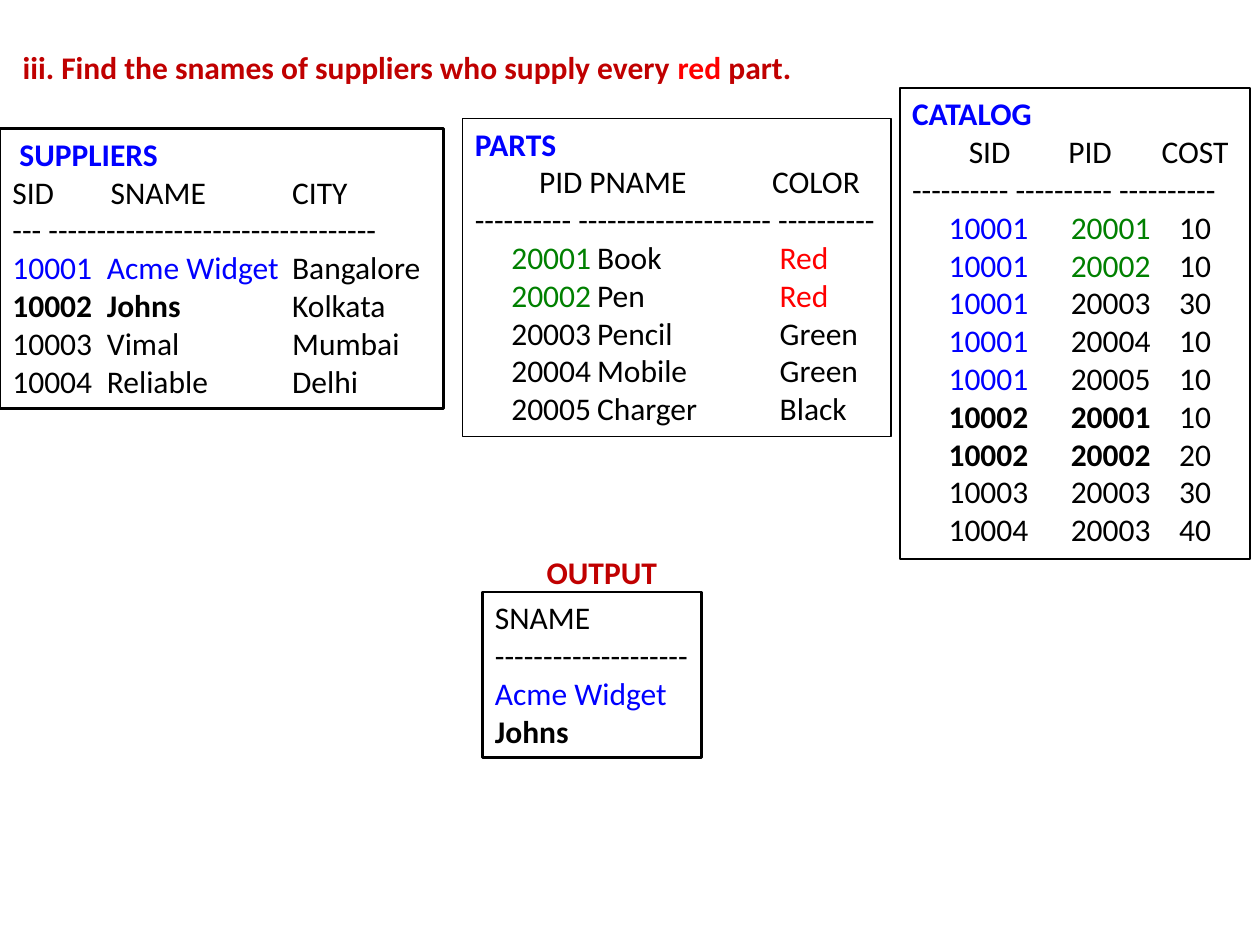
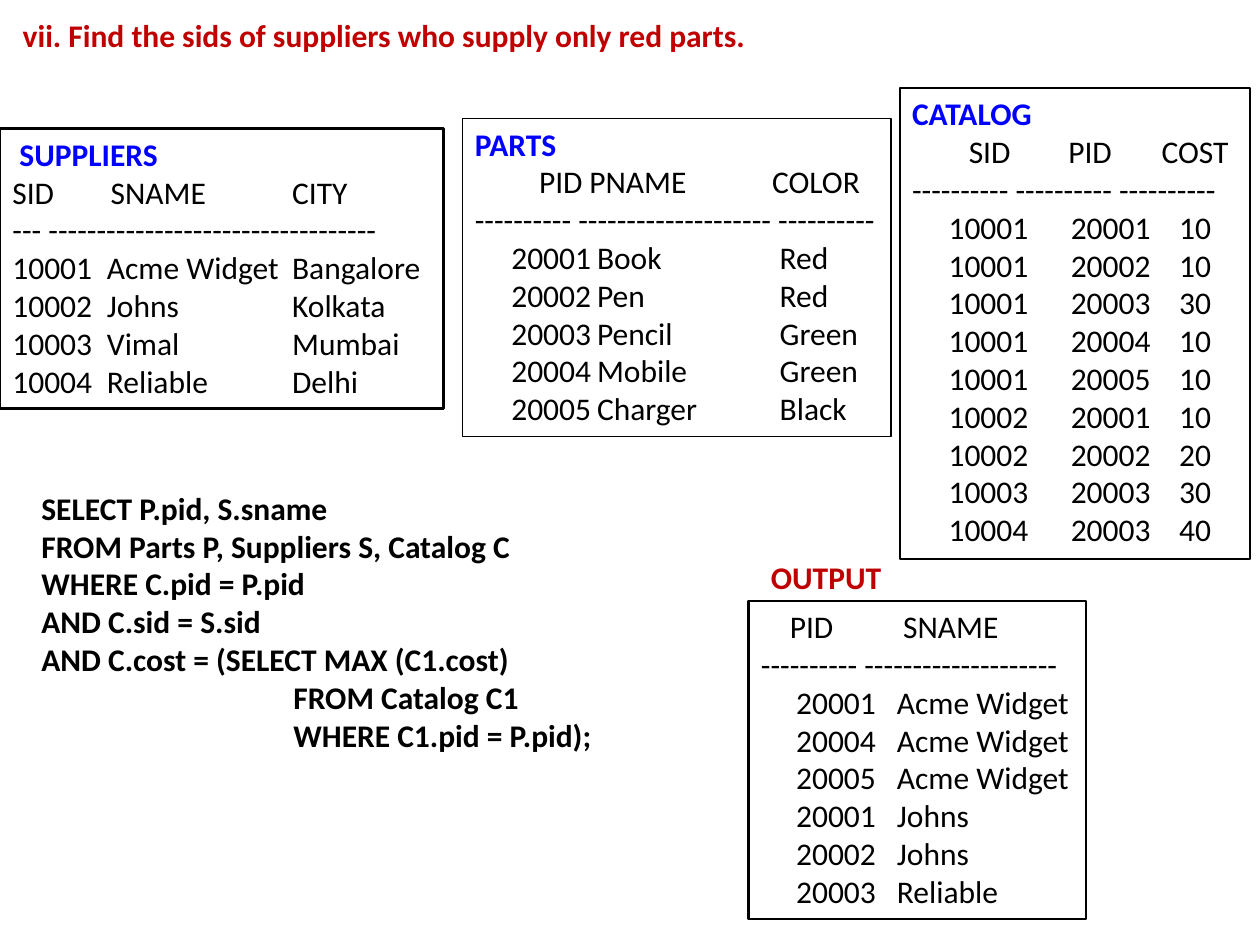
from lxml import etree
from pptx import Presentation
from pptx.dml.color import RGBColor
from pptx.enum.shapes import MSO_SHAPE
from pptx.enum.text import MSO_ANCHOR, MSO_AUTO_SIZE, PP_ALIGN
from pptx.oxml.ns import qn
from pptx.util import Inches, Pt

RECTANGLE = MSO_SHAPE.RECTANGLE
TOP, LEFT, NO_FIT = MSO_ANCHOR.TOP, PP_ALIGN.LEFT, MSO_AUTO_SIZE.NONE

FONT, SIZE = "Calibri", 18
BLACK, BLUE, GREEN = "000000", "0000FF", "008000"
RED, DARK_RED = "FF0000", "C00000"

SLIDE_WIDTH, SLIDE_HEIGHT = Inches(10), Inches(7.5)
UNIT = SLIDE_WIDTH / 100  # the grid has 100 columns and 75 rows
INSET, LINE_HEIGHT = 1, 3.03

# Each relation: heading, header cells, rule, rows, and tab columns of header and rows.
SUPPLIERS = dict(
    heading=" SUPPLIERS", header=("SID", "SNAME", "CITY"),
    rule="--- " + "-" * 34,
    rows=[("10001", "Acme Widget", "Bangalore"), ("10002", "Johns", "Kolkata"),
          ("10003", "Vimal", "Mumbai"), ("10004", "Reliable", "Delhi")],
    header_tabs=(0, 7.8, 22.2), row_tabs=(0, 7.5, 22.2))
PARTS = dict(
    heading="PARTS", header=("PID", "PNAME", "COLOR"),
    rule=" ".join("-" * count for count in (10, 20, 10)),
    rows=[("20001", "Book", "Red"), ("20002", "Pen", "Red"), ("20003", "Pencil", "Green"),
          ("20004", "Mobile", "Green"), ("20005", "Charger", "Black")],
    header_tabs=(5.1, 9.1, 23.6), row_tabs=(2.9, 9.7, 24.2))
CATALOG = dict(
    heading="CATALOG", header=("SID", "PID", "COST"),
    rule=" ".join(["-" * 10] * 3),
    rows=[("10001", "20001", "10"), ("10001", "20002", "10"), ("10001", "20003", "30"),
          ("10001", "20004", "10"), ("10001", "20005", "10"), ("10002", "20001", "10"),
          ("10002", "20002", "20"), ("10003", "20003", "30"), ("10004", "20003", "40")],
    header_tabs=(4.5, 12.4, 19.8), row_tabs=(2.9, 12.6, 21.2))
SNAME_OUTPUT = dict(
    header=("SNAME",), rule="-" * 20, rows=[("Acme Widget",), ("Johns",)],
    header_tabs=(0,), row_tabs=(0,))
PID_OUTPUT = dict(
    header=("PID", "SNAME"), rule="-" * 10 + " " + "-" * 20,
    rows=[("20001", "Acme Widget"), ("20004", "Acme Widget"), ("20005", "Acme Widget"),
          ("20001", "Johns"), ("20002", "Johns"), ("20003", "Reliable")],
    header_tabs=(2.3, 11.3), row_tabs=(2.8, 10.8))

QUERY = ["SELECT P.pid, S.sname", "FROM Parts P, Suppliers S, Catalog C",
         "WHERE C.pid = P.pid", "AND C.sid = S.sid", "AND C.cost = (SELECT MAX (C1.cost)",
         "\tFROM Catalog C1", "\tWHERE C1.pid = P.pid);"]

ROW_COLORS = {"10001": BLUE, "Acme Widget": BLUE, "20001": GREEN, "20002": GREEN, "Red": RED}
SECOND_SUPPLIER = ("10002", "Johns")
SECOND_SUPPLIER_CELLS = SECOND_SUPPLIER + ("20001", "20002")


def rgb(color):
    return RGBColor.from_string(color)


def grid(*units):
    return [round(UNIT * unit) for unit in units]


def add_span(para, text, color=BLACK, bold=False):
    span = para.add_run()
    span.text = text
    span.font.name, span.font.size = FONT, Pt(SIZE)
    span.font.bold = bold
    span.font.color.rgb = rgb(color)


def set_tabs(para, columns):
    tab_list = etree.SubElement(para._p.get_or_add_pPr(), qn("a:tabLst"))
    for position in grid(*columns):
        etree.SubElement(tab_list, qn("a:tab"), pos=str(position), algn="l")


def prepare_frame(box):
    frame = box.text_frame
    frame.word_wrap, frame.auto_size = True, NO_FIT
    frame.vertical_anchor = TOP
    frame.margin_left, frame.margin_right = grid(INSET, 0)
    frame.margin_top = frame.margin_bottom = grid(INSET / 2)[0]
    frame.paragraphs[0].alignment = LEFT
    return frame


def add_line(frame, number):
    """Return the first paragraph for line 0, and a new one for any other."""
    para = frame.add_paragraph() if number else frame.paragraphs[0]
    para.alignment = LEFT
    return para


def text_height(line_count):
    return line_count * LINE_HEIGHT + INSET


def highlight(row, cell):
    """Format a cell by the supplier and the red parts that answer the question."""
    if row[0] in SECOND_SUPPLIER:
        return dict(bold=cell in SECOND_SUPPLIER_CELLS)
    return dict(color=ROW_COLORS.get(cell, BLACK))


def plain(row, cell):
    return {}


def add_cells(para, row, tabs, style):
    stops = [stop for stop in tabs if stop]
    if stops:
        set_tabs(para, stops)
    for cell, stop in zip(row, tabs):
        add_span(para, ("\t" if stop else "") + cell, **style(row, cell))


def add_relation(page, relation, left, top, width, line_width=1.0, style=plain):
    heading = relation.get("heading")
    line_count = len(relation["rows"]) + 2 + bool(heading)
    panel = page.shapes.add_shape(RECTANGLE, *grid(left, top, width, text_height(line_count)))
    panel.shadow.inherit = False
    panel.fill.background()
    panel.line.color.rgb, panel.line.width = rgb(BLACK), Pt(line_width)
    frame = prepare_frame(panel)
    first = 0
    if heading:
        add_span(add_line(frame, 0), heading, color=BLUE, bold=True)
        first = 1
    add_cells(add_line(frame, first), relation["header"], relation["header_tabs"], plain)
    add_span(add_line(frame, first + 1), relation["rule"])
    for number, row in enumerate(relation["rows"], first + 2):
        add_cells(add_line(frame, number), row, relation["row_tabs"], style)


def add_text(page, lines, left, top, width, tabs=(), **style):
    box = page.shapes.add_textbox(*grid(left, top, width, text_height(len(lines))))
    frame = prepare_frame(box)
    for number, line in enumerate(lines):
        para = add_line(frame, number)
        if tabs:
            set_tabs(para, tabs)
        add_span(para, line, **style)


def add_output(page, relation, left, top, width, label_shift, style=plain):
    add_relation(page, relation, left, top, width, line_width=1.5, style=style)
    shift_x, shift_y = label_shift
    add_text(page, ["OUTPUT"], left + shift_x, top - shift_y, 11, color=DARK_RED, bold=True)


def add_question_page(deck, title_spans, title_top, style=plain):
    """Add a page with its question and the three relations."""
    page = deck.slides.add_slide(deck.slide_layouts[5])
    title = page.shapes.title
    title.left, title.top, title.width, title.height = grid(0.8, title_top, 96.7, text_height(1))
    para = prepare_frame(title).paragraphs[0]
    for text, color in title_spans:
        add_span(para, text, color=color, bold=True)
    add_relation(page, CATALOG, 71.4, 7, 27.8, style=style)
    add_relation(page, PARTS, 36.7, 9.4, 34, style=style)
    add_relation(page, SUPPLIERS, 0, 10.2, 35.2, line_width=1.5, style=style)
    return page


def main():
    deck = Presentation()
    deck.slide_width, deck.slide_height = SLIDE_WIDTH, SLIDE_HEIGHT

    every_red = add_question_page(
        deck, [("iii. Find the snames of suppliers who supply every ", DARK_RED),
               ("red ", RED), ("part.", DARK_RED)], 3.3, style=highlight)
    add_output(every_red, SNAME_OUTPUT, 38.3, 47, 17.4, (4.1, 3.6), style=highlight)

    only_red = add_question_page(
        deck, [("vii. Find the sids of suppliers who supply only red parts.", DARK_RED)], 0.8)
    add_text(only_red, QUERY, 2.3, 38.3, 46.1, tabs=(20,), bold=True)
    add_output(only_red, PID_OUTPUT, 59.4, 47.7, 26.8, (0.8, 3.9))

    deck.save("out.pptx")


if __name__ == "__main__":
    main()
